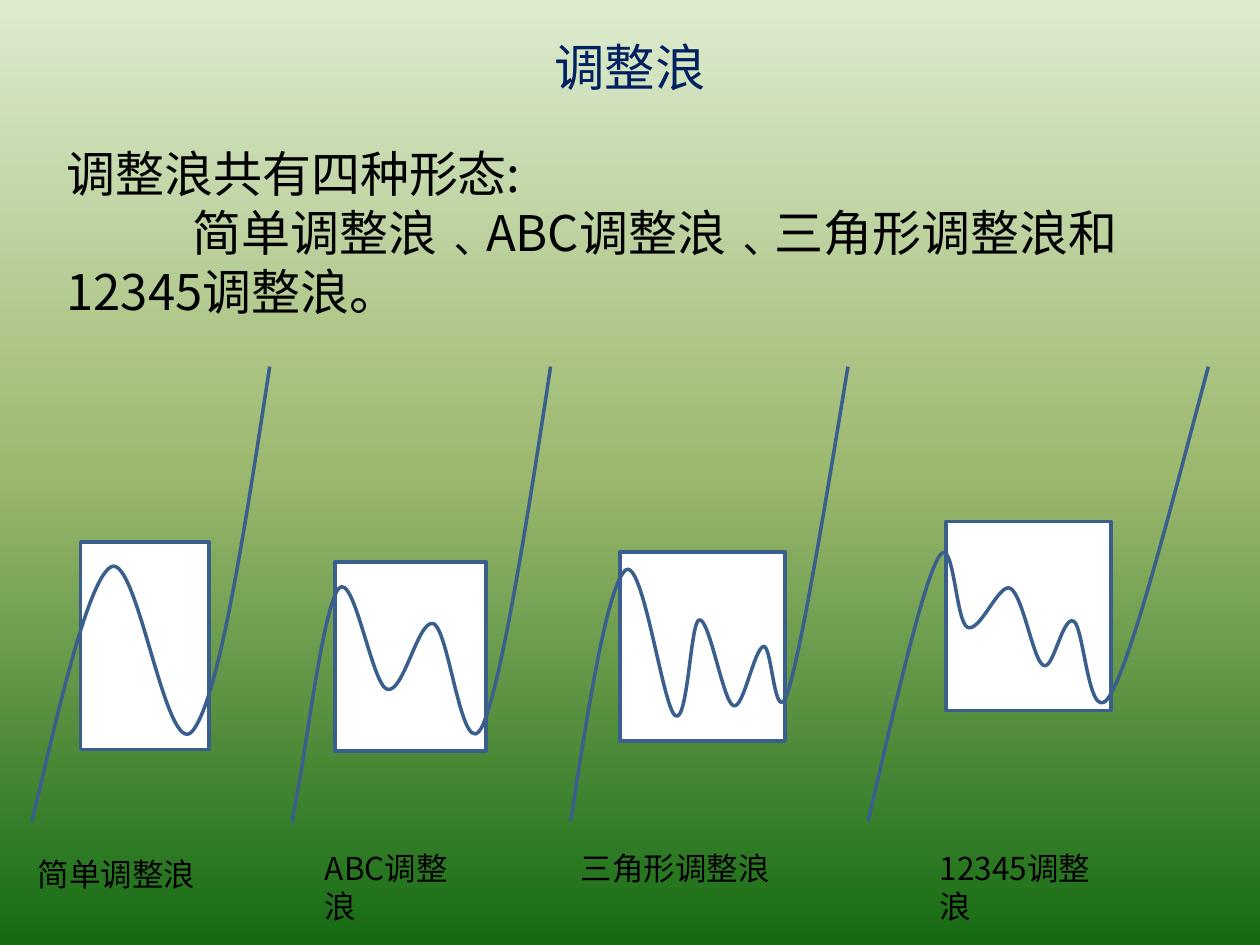
"""Builds a slide on the four forms of a corrective wave."""
import copy
import pptx
import pptx.util
import pptx.dml.color
import pptx.enum.shapes
import pptx.enum.text
import pptx.oxml
import pptx.oxml.ns
from pptx.util import Inches

FONT = "Noto Sans CJK SC"
COLORS = {"title": "002060", "text": "000000", "panel": "FFFFFF", "wave": "3A5F8C"}
BACKGROUND = [(0, "DDEBCF"), (0.5, "9CB86E"), (1, "156B13")]
TITLE = "调整浪"
INTRO = ["调整浪共有四种形态:", "\t简单调整浪﹑ABC调整浪﹑三角形调整浪和12345调整浪。"]
WAVES = [
    {"label": "简单调整浪", "label_box": (0.2, 6.74, 1.46, 0.4),
     "panel": (0.64, 4.3, 1.02, 1.65), "start": (0.25, 6.52),
     "curves": [(0.35, 6.17, 0.66, 4.62, 0.88, 4.5), (1.09, 4.38, 1.32, 6.06, 1.53, 5.8),
                (1.74, 5.53, 1.94, 4.22, 2.14, 2.91)]},
    {"label": "ABC调整浪", "label_box": (2.48, 6.69, 1.38, 0.4),
     "panel": (2.66, 4.46, 1.2, 1.5), "start": (2.33, 6.51),
     "curves": [(2.32, 6.53, 2.31, 6.55, 2.37, 6.24), (2.43, 5.93, 2.57, 4.8, 2.69, 4.67),
                (2.81, 4.54, 2.95, 5.42, 3.07, 5.47), (3.2, 5.52, 3.32, 4.91, 3.44, 4.95),
                (3.57, 5, 3.67, 6.1, 3.83, 5.76), (3.98, 5.42, 4.18, 4.17, 4.37, 2.91)]},
    {"label": "三角形调整浪", "label_box": (4.51, 6.69, 1.72, 0.4),
     "panel": (4.92, 4.38, 1.31, 1.5), "start": (4.53, 6.52),
     "curves": [(4.67, 5.6, 4.82, 4.67, 4.96, 4.53), (5.1, 4.39, 5.26, 5.62, 5.36, 5.68),
                (5.46, 5.75, 5.48, 4.93, 5.55, 4.92), (5.63, 4.9, 5.74, 5.57, 5.82, 5.6),
                (5.9, 5.64, 5.98, 5.16, 6.06, 5.13), (6.13, 5.11, 6.15, 5.84, 6.26, 5.47),
                (6.37, 5.1, 6.55, 4.01, 6.73, 2.91)]},
    {"label": "12345调整浪", "label_box": (7.36, 6.69, 1.6, 0.4),
     "panel": (7.51, 4.14, 1.31, 1.5), "start": (6.89, 6.52),
     "curves": [(7.1, 5.61, 7.31, 4.69, 7.44, 4.44), (7.57, 4.18, 7.58, 4.94, 7.68, 4.98),
                (7.78, 5.02, 7.93, 4.62, 8.02, 4.67), (8.12, 4.73, 8.2, 5.24, 8.28, 5.28),
                (8.36, 5.33, 8.43, 4.89, 8.52, 4.93), (8.61, 4.97, 8.64, 5.84, 8.82, 5.5),
                (9, 5.17, 9.29, 4.04, 9.59, 2.91)]},
]


def rgb(value):
    return pptx.dml.color.RGBColor.from_string(value)


def add_text(slide, box, lines, size, color):
    frame = slide.shapes.add_textbox(*map(Inches, box)).text_frame
    frame.word_wrap = True
    frame.auto_size = pptx.enum.text.MSO_AUTO_SIZE.SHAPE_TO_FIT_TEXT
    frame.text = "\n".join(lines)
    for paragraph in frame.paragraphs:
        font = paragraph.font
        font.size = pptx.util.Pt(size)
        font.color.rgb = rgb(color)
        font.name = FONT
        latin = paragraph._p.find(".//" + pptx.oxml.ns.qn("a:latin"))
        latin.addnext(pptx.oxml.parse_xml(
            f'<a:ea {pptx.oxml.ns.nsdecls("a")} typeface="{FONT}"/>'))
    return frame


def set_tab(paragraph, position):
    defaults = paragraph._p.find(".//" + pptx.oxml.ns.qn("a:defRPr"))
    defaults.addprevious(pptx.oxml.parse_xml(
        f'<a:tabLst {pptx.oxml.ns.nsdecls("a")}>'
        f'<a:tab pos="{Inches(position)}" algn="l"/></a:tabLst>'))


def outline(shape):
    shape.shadow.inherit = False
    shape.line.color.rgb = rgb(COLORS["wave"])
    shape.line.width = pptx.util.Pt(2)


def add_curve(slide, start, curves):
    builder = slide.shapes.build_freeform(*map(Inches, start))
    builder.add_line_segments(
        [(Inches(x), Inches(y)) for *_, x, y in curves], close=False)
    wave = builder.convert_to_shape()
    segments = list(wave._element.iter(pptx.oxml.ns.qn("a:lnTo")))
    for segment, curve in zip(segments, curves):
        points = "".join(
            f'<a:pt x="{Inches(x) - wave.left}" y="{Inches(y) - wave.top}"/>'
            for x, y in zip(curve[::2], curve[1::2]))
        segment.getparent().replace(segment, pptx.oxml.parse_xml(
            f'<a:cubicBezTo {pptx.oxml.ns.nsdecls("a")}>{points}</a:cubicBezTo>'))
    wave.fill.background()
    outline(wave)


def paint_background(slide):
    fill = slide.background.fill
    fill.gradient()
    fill.gradient_angle = 270
    first = slide._element.find(".//" + pptx.oxml.ns.qn("a:gs"))
    first.addnext(copy.deepcopy(first))
    for stop, (position, color) in zip(fill.gradient_stops, BACKGROUND):
        stop.position = position
        stop.color.rgb = rgb(color)


deck = pptx.Presentation()
deck.slide_width, deck.slide_height = Inches(10), Inches(7.5)
slide = deck.slides.add_slide(deck.slide_layouts[6])
paint_background(slide)

for wave in reversed(WAVES):
    panel = slide.shapes.add_shape(
        pptx.enum.shapes.MSO_SHAPE.RECTANGLE, *map(Inches, wave["panel"]))
    panel.fill.solid()
    panel.fill.fore_color.rgb = rgb(COLORS["panel"])
    outline(panel)

title = add_text(slide, (0.5, 0.3, 9, 0.46), [TITLE], 28.8, COLORS["title"])
title.auto_size = pptx.enum.text.MSO_AUTO_SIZE.NONE
title.vertical_anchor = pptx.enum.text.MSO_ANCHOR.MIDDLE
title.paragraphs[0].alignment = pptx.enum.text.PP_ALIGN.CENTER
intro = add_text(slide, (0.43, 1.09, 9.29, 1.51), INTRO, 28, COLORS["text"])
set_tab(intro.paragraphs[1], 1)

for wave in WAVES:
    add_curve(slide, wave["start"], wave["curves"])

for wave in WAVES:
    add_text(slide, wave["label_box"], [wave["label"]], 18, COLORS["text"])

deck.save("out.pptx")
